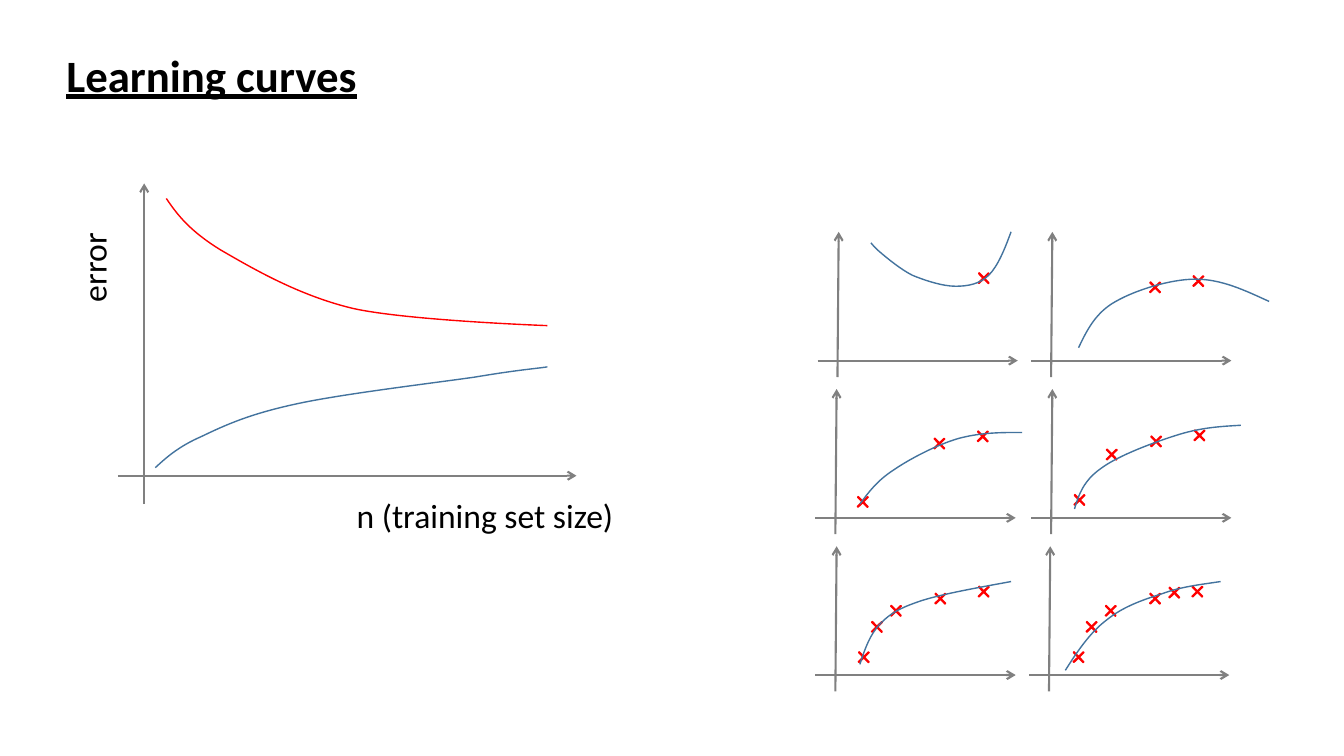
from dataclasses import dataclass

from lxml.etree import SubElement
from pptx import Presentation
from pptx.dml.color import RGBColor
from pptx.enum.shapes import MSO_CONNECTOR as Connector, MSO_SHAPE as Preset
from pptx.enum.text import MSO_AUTO_SIZE as AutoSize
from pptx.oxml.ns import qn
from pptx.slide import Slide
from pptx.util import Pt

BLACK = RGBColor(0x00, 0x00, 0x00)
RED = RGBColor(0xFF, 0x00, 0x00)
BLUE = RGBColor(0x43, 0x73, 0x9E)
GRAY = RGBColor(0x80, 0x80, 0x80)

Point = tuple[float, float]

FIRST_PANEL_TOP = 165.6
PANEL_STEP = 112.3
CROSS_SIZE = 10


@dataclass
class Label:
    text: str
    left: float
    top: float
    width: float
    height: float
    size: float
    heading: bool = False
    rotation: float = 0


@dataclass
class FitPanel:
    """Small plot of a model fitted to a few samples; fit holds Bézier points."""
    row: int
    left: float
    crosses: list[Point]
    fit: list[Point]


LABELS = [
    Label("Learning curves", 40.3, 30.2, 243.4, 46, 32, heading=True),
    Label("n (training set size)", 247.7, 349.9, 218.2, 36, 24),
    Label("error", 16.6, 154.8, 100, 36, 24, rotation=270),
]

TEST_ERROR = [
    (118.8, 141.8), (126.7, 153.4), (135.4, 164.9), (157.7, 178.6),
    (180, 191.5), (213.1, 211), (252, 220.3),
    (290.9, 229), (391, 232.6), (391, 232.6),
]
TRAINING_ERROR = [
    (110.9, 334.1), (118.8, 326.9), (127.4, 319), (144, 311.8),
    (160.6, 303.8), (177.8, 295.9), (211, 288.7),
    (243.4, 281.5), (310.3, 273.6), (339.8, 269.3),
    (370.1, 264.2), (381.6, 263.5), (391, 262.1),
]

PANELS = [
    FitPanel(0, 584, [(697.7, 193.7)], [
        (622.1, 173.5), (623.5, 175), (624.2, 176.4), (629.3, 180.7),
        (633.6, 184.3), (643, 192.2), (651.6, 196.6),
        (660.2, 200.2), (673.2, 204.5), (682.6, 204.5),
        (691.2, 204.5), (699.8, 203), (706.3, 196.6),
        (712.8, 190.1), (717.8, 177.8), (722.2, 165.6)]),
    FitPanel(0, 736.6, [(851, 195.8), (820.1, 200.2)], [
        (770.4, 248.4), (776.2, 236.2), (782.6, 223.2), (797, 215.3),
        (810.7, 207.4), (835.9, 199.4), (853.9, 199.4),
        (872.6, 199.4), (889.2, 207.4), (906.5, 215.3)]),
    FitPanel(1, 582.5, [(697, 306.7), (666, 311.8), (611.3, 353.5)], [
        (614.2, 360), (620.6, 351.4), (626.4, 343.4), (638.6, 335.5),
        (650.2, 327.6), (669.6, 317.5), (684.7, 313.2),
        (700.6, 308.9), (715, 308.9), (730.1, 308.9)]),
    FitPanel(1, 736.6, [(851.8, 306), (820.8, 310.3), (766.1, 352.1), (789.1, 319.7)], [
        (767.5, 363.6), (770.4, 353.5), (774, 343.4), (786.2, 334.8),
        (798.5, 325.4), (825.8, 315.4), (842.4, 310.3),
        (859, 305.3), (872.6, 304.6), (886.3, 303.8)]),
    FitPanel(2, 582.5, [(697.7, 417.6), (666.7, 422.6), (612, 464.4),
                        (635, 431.3), (621.4, 442.8)], [
        (614.2, 474.5), (617.8, 463.7), (621.4, 452.9), (629.3, 445),
        (636.5, 437.8), (643, 434.2), (658.1, 429.1),
        (673.9, 424.1), (698.4, 419.8), (722.2, 415.4)]),
    FitPanel(2, 735.1, [(850.3, 417.6), (820.1, 422.6), (765.4, 464.4),
                        (788.4, 431.3), (774.7, 442.8), (833.8, 418.3)], [
        (761, 478.8), (769.7, 465.1), (779, 451.4), (790.6, 442.8),
        (802.1, 433.4), (816.5, 428.4), (830.2, 424.1),
        (843.8, 419), (857.5, 417.6), (871.9, 415.4)]),
]


def add_label(page: Slide, label: Label) -> None:
    box = page.shapes.add_textbox(Pt(label.left), Pt(label.top), Pt(label.width), Pt(label.height))
    box.rotation = label.rotation
    frame = box.text_frame
    frame.word_wrap = True
    frame.auto_size = AutoSize.SHAPE_TO_FIT_TEXT
    para = frame.paragraphs[0]
    para.text = label.text
    font = para.font
    font.name, font.size = "Calibri", Pt(label.size)
    font.color.rgb = BLACK
    if label.heading:
        font.bold = font.underline = True


def add_axis(page: Slide, start: Point, end: Point) -> None:
    axis = page.shapes.add_connector(
        Connector.STRAIGHT, Pt(start[0]), Pt(start[1]), Pt(end[0]), Pt(end[1]))
    axis.line.color.rgb = GRAY
    axis.line.width = Pt(1.5)
    SubElement(axis.line._get_or_add_ln(), qn("a:tailEnd"), type="arrow")
    SubElement(axis.element.spPr, qn("a:effectLst"))


def add_cross(page: Slide, corner: Point) -> None:
    cross = page.shapes.add_shape(
        Preset.CROSS, Pt(corner[0]), Pt(corner[1]), Pt(CROSS_SIZE), Pt(CROSS_SIZE))
    cross.adjustments[0] = 0.466
    cross.rotation = 45.6
    cross.shadow.inherit = False
    cross.fill.solid()
    cross.fill.fore_color.rgb = BLACK
    cross.line.color.rgb = RED
    cross.line.width = Pt(1)


def add_curve(page: Slide, points: list[Point], color: RGBColor) -> None:
    """Draw a cubic Bézier chain: a start, then two controls and an end per piece."""
    start, *others = [(Pt(x), Pt(y)) for x, y in points]
    builder = page.shapes.build_freeform(*start)
    builder.add_line_segments(others, close=False)
    curve = builder.convert_to_shape()
    segments = list(curve.element.iter(qn("a:lnTo")))
    for first, second, third in zip(segments[::3], segments[1::3], segments[2::3]):
        first.tag = qn("a:cubicBezTo")
        for segment in (second, third):
            first.append(segment[0])
            segment.getparent().remove(segment)
    curve.shadow.inherit = False
    curve.fill.background()
    curve.line.color.rgb = color
    curve.line.width = Pt(1)


def add_panel(page: Slide, panel: FitPanel) -> None:
    left, top = panel.left, FIRST_PANEL_TOP + panel.row * PANEL_STEP
    add_axis(page, (left + 14.2, top + 103.7), (left + 15.1, top))
    add_axis(page, (left, top + 92), (left + 143, top + 92))
    for corner in panel.crosses:
        add_cross(page, corner)
    add_curve(page, panel.fit, BLUE)


def main() -> None:
    deck = Presentation()
    deck.slide_width, deck.slide_height = Pt(960), Pt(540)
    page = deck.slides.add_slide(deck.slide_layouts[6])
    for label in LABELS:
        add_label(page, label)
    add_axis(page, (103, 360), (103, 131))
    add_axis(page, (84.2, 339.8), (411.8, 339.8))
    add_curve(page, TEST_ERROR, RED)
    add_curve(page, TRAINING_ERROR, BLUE)
    for panel in PANELS:
        add_panel(page, panel)
    deck.save("out.pptx")


if __name__ == "__main__":
    main()
